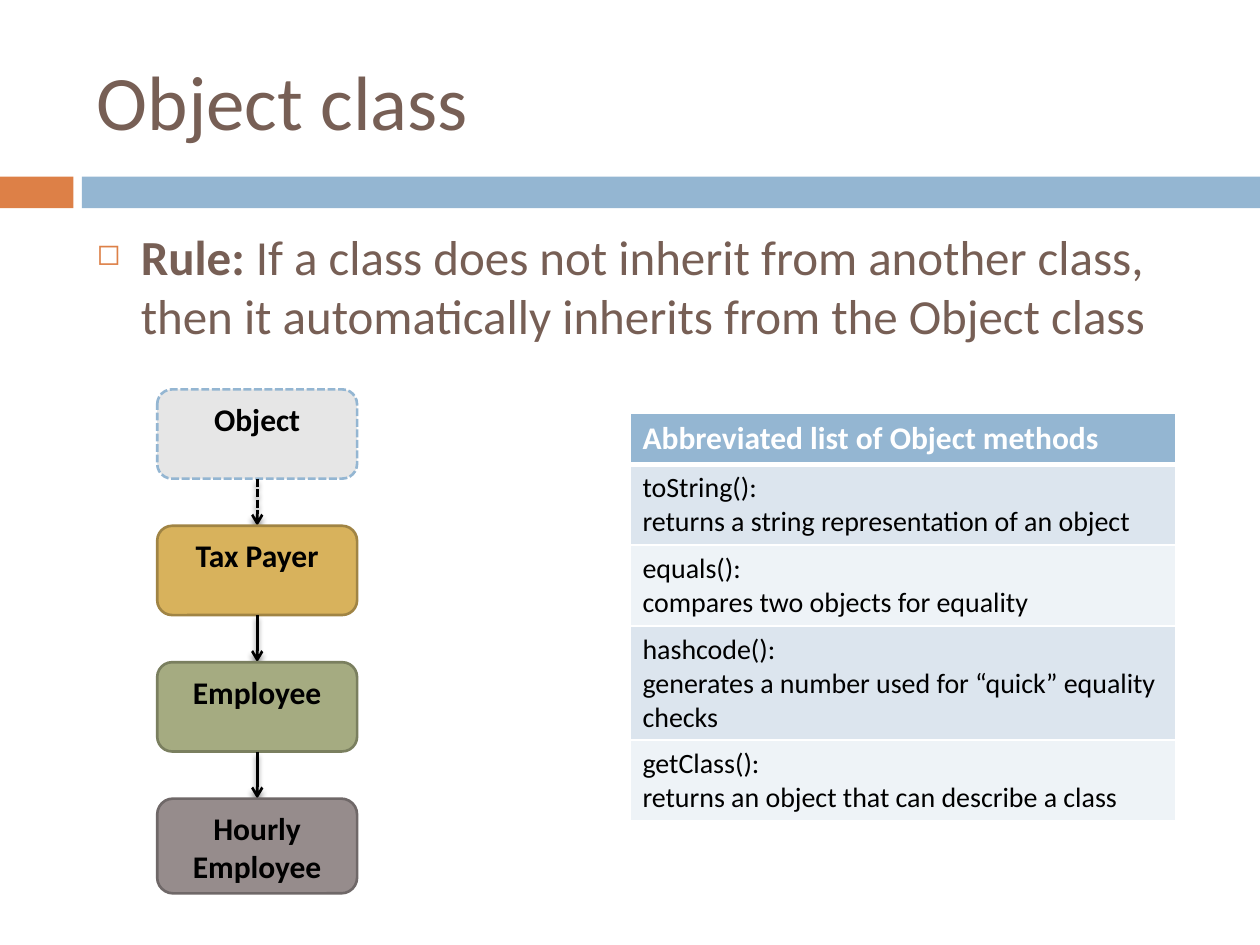
"""Build a slide on the Object class: its rule, an inheritance chain and a method table."""
from dataclasses import dataclass
from typing import Any

import lxml.etree
import pptx
import pptx.dml.color
import pptx.enum.dml
import pptx.enum.shapes
import pptx.enum.text
import pptx.oxml
import pptx.oxml.ns
import pptx.util

Cm = pptx.util.Cm
Pt = pptx.util.Pt
DASH = pptx.enum.dml.MSO_LINE.SQUARE_DOT
SHAPES = pptx.enum.shapes.MSO_SHAPE
ALIGN = pptx.enum.text.PP_ALIGN
ANCHOR = pptx.enum.text.MSO_ANCHOR
NS = pptx.oxml.ns.nsdecls("a")

COLORS = {
    "brown": "775F55", "orange": "DD8047", "blue": "94B6D2",
    "black": "000000", "white": "FFFFFF",
    "gray": "E6E6E6", "gold": "D8B25C", "gold_edge": "A08444",
    "green": "A5AB81", "green_edge": "7A7F5F",
    "mauve": "968C8C", "mauve_edge": "6F6868",
    "band_dark": "DCE5EE", "band_light": "EEF3F7",
}
TITLE_FONT = {"name": "Calibri", "size": Pt(44), "bold": False}
RULE_FONT = {"name": "Calibri", "size": Pt(28)}
LABEL_FONT = {"name": "Calibri", "size": Pt(18), "bold": True}
METHOD_FONT = {"name": "Calibri", "size": Pt(16), "bold": False}


@dataclass
class ClassBox:
    name: str
    fill: str
    edge: str
    height: float = 1.8
    implicit: bool = False


@dataclass
class Method:
    signature: str
    purpose: str
    height: float = 1.63


HIERARCHY = [
    ClassBox("Object", "gray", "blue", implicit=True),
    ClassBox("Tax Payer", "gold", "gold_edge"),
    ClassBox("Employee", "green", "green_edge"),
    ClassBox("Hourly Employee", "mauve", "mauve_edge", height=1.91),
]
METHODS = [
    Method("toString():", "returns a string representation of an object"),
    Method("equals():", "compares two objects for equality"),
    Method("hashcode():", "generates a number used for “quick” equality checks", 2.3),
    Method("getClass():", "returns an object that can describe a class"),
]
CHAIN_LEFT, CHAIN_TOP, CHAIN_WIDTH, CHAIN_STEP = 3.17, 7.85, 4.03, 2.75


def rgb(color: str) -> pptx.dml.color.RGBColor:
    """Return the named colour."""
    return pptx.dml.color.RGBColor.from_string(COLORS[color])


def apply_format(target: Any, values: dict[str, Any]) -> None:
    """Set each format value on the target."""
    for attribute, value in values.items():
        setattr(target, attribute, value)


def add_text(paragraph: Any, text: str, font: dict[str, Any], color: str) -> None:
    """Append one formatted run."""
    run = paragraph.add_run()
    run.text = text
    apply_format(run.font, font)
    run.font.color.rgb = rgb(color)


def fill_solid(target: Any, color: str) -> None:
    """Fill a shape or cell with one colour."""
    target.fill.solid()
    target.fill.fore_color.rgb = rgb(color)


def add_bar(slide: Any, left: float, width: float, color: str) -> None:
    """Draw one part of the band under the title."""
    bar = slide.shapes.add_shape(SHAPES.RECTANGLE, Cm(left), Cm(3.56), Cm(width), Cm(0.64))
    bar.shadow.inherit = False
    fill_solid(bar, color)
    bar.line.fill.background()


def add_title(slide: Any) -> None:
    """Place and fill the title."""
    title = slide.shapes.title
    apply_format(title, {"left": Cm(1.7), "top": Cm(0.64), "width": Cm(22.66), "height": Cm(2.74)})
    title.text_frame.vertical_anchor = ANCHOR.MIDDLE
    heading = title.text_frame.paragraphs[0]
    heading.alignment = ALIGN.LEFT
    add_text(heading, "Object class", TITLE_FONT, "brown")


def add_rule(slide: Any) -> None:
    """Write the bulleted inheritance rule."""
    body = slide.shapes.add_textbox(Cm(1.7), Cm(4.45), Cm(22.66), Cm(3.3))
    body.text_frame.word_wrap = True
    rule = body.text_frame.paragraphs[0]
    rule.space_before = Pt(7)
    properties = rule._p.get_or_add_pPr()
    properties.set("marL", str(Cm(0.89)))
    properties.set("indent", str(-Cm(0.89)))
    for xml in (
        f'<a:buClr {NS}><a:srgbClr val="{COLORS["orange"]}"/></a:buClr>',
        f'<a:buSzPct {NS} val="60000"/>',
        f'<a:buChar {NS} char="◻"/>',
    ):
        properties.append(pptx.oxml.parse_xml(xml))
    add_text(rule, "Rule: ", RULE_FONT | {"bold": True}, "brown")
    add_text(rule, "If a class does not inherit from another class, then it automatically "
             "inherits from the Object class", RULE_FONT | {"bold": False}, "brown")


def add_class_box(slide: Any, box: ClassBox, top: float) -> None:
    """Draw one class of the hierarchy."""
    shape = slide.shapes.add_shape(
        SHAPES.ROUNDED_RECTANGLE, Cm(CHAIN_LEFT), Cm(top), Cm(CHAIN_WIDTH), Cm(box.height))
    shape.shadow.inherit = False
    fill_solid(shape, box.fill)
    shape.line.color.rgb = rgb(box.edge)
    shape.line.width = Pt(1.5)
    if box.implicit:
        shape.line.dash_style = DASH
    apply_format(shape.text_frame, {"word_wrap": True, "vertical_anchor": ANCHOR.TOP})
    label = shape.text_frame.paragraphs[0]
    label.alignment = ALIGN.CENTER
    add_text(label, box.name, LABEL_FONT, "black")


def add_arrow(slide: Any, start: float, end: float, implicit: bool) -> None:
    """Link a class to the one below it."""
    center = Cm(CHAIN_LEFT + CHAIN_WIDTH / 2)
    arrow = slide.shapes.add_connector(
        pptx.enum.shapes.MSO_CONNECTOR.STRAIGHT, center, Cm(start), center, Cm(end))
    arrow.line.color.rgb = rgb("black")
    arrow.line.width = Pt(1.5)
    if implicit:
        arrow.line.dash_style = DASH
    lxml.etree.SubElement(
        arrow.line._get_or_add_ln(), pptx.oxml.ns.qn("a:tailEnd"), type="arrow")
    arrow._element.spPr.append(pptx.oxml.parse_xml(
        f'<a:effectLst {NS}><a:outerShdw blurRad="{Pt(3)}" dist="{Pt(2.4)}" dir="5400000" '
        f'rotWithShape="0"><a:srgbClr val="{COLORS["black"]}"><a:alpha val="45000"/>'
        '</a:srgbClr></a:outerShdw></a:effectLst>'))


def add_hierarchy(slide: Any) -> None:
    """Draw the chain of classes from top to bottom."""
    for level, box in enumerate(HIERARCHY):
        top = CHAIN_TOP + level * CHAIN_STEP
        add_class_box(slide, box, top)
        if level < len(HIERARCHY) - 1:
            add_arrow(slide, top + box.height, top + CHAIN_STEP, box.implicit)


def format_cell(cell: Any, fill: str, top: float, bottom: float) -> None:
    """Give a cell white borders and a fill."""
    properties = cell._tc.get_or_add_tcPr()
    for side, width in {"L": 1, "R": 1, "T": top, "B": bottom}.items():
        properties.append(pptx.oxml.parse_xml(
            f'<a:ln{side} {NS} w="{Pt(width)}"><a:solidFill>'
            f'<a:srgbClr val="{COLORS["white"]}"/></a:solidFill></a:ln{side}>'))
    fill_solid(cell, fill)


def add_method_table(slide: Any) -> None:
    """List the methods in a banded table."""
    table = slide.shapes.add_table(
        len(METHODS) + 1, 1, Cm(12.7), Cm(8.33), Cm(11), Cm(8.15)).table
    header = table.cell(0, 0)
    table.rows[0].height = Cm(1.03)
    format_cell(header, "blue", 1, 3)
    add_text(header.text_frame.paragraphs[0], "Abbreviated list of Object methods",
             LABEL_FONT, "white")
    for row, method in enumerate(METHODS, start=1):
        cell = table.cell(row, 0)
        table.rows[row].height = Cm(method.height)
        format_cell(cell, "band_dark" if row % 2 else "band_light", 3 if row == 1 else 1, 1)
        add_text(cell.text_frame.paragraphs[0], method.signature, METHOD_FONT, "black")
        add_text(cell.text_frame.add_paragraph(), method.purpose, METHOD_FONT, "black")


def main() -> None:
    """Build and save the slide."""
    deck = pptx.Presentation()
    apply_format(deck, {"slide_width": Cm(25.4), "slide_height": Cm(19.05)})
    slide = deck.slides.add_slide(deck.slide_layouts[5])
    add_bar(slide, 0, 1.48, "orange")
    add_bar(slide, 1.65, 23.75, "blue")
    add_title(slide)
    add_rule(slide)
    add_hierarchy(slide)
    add_method_table(slide)
    deck.save("out.pptx")


if __name__ == "__main__":
    main()
